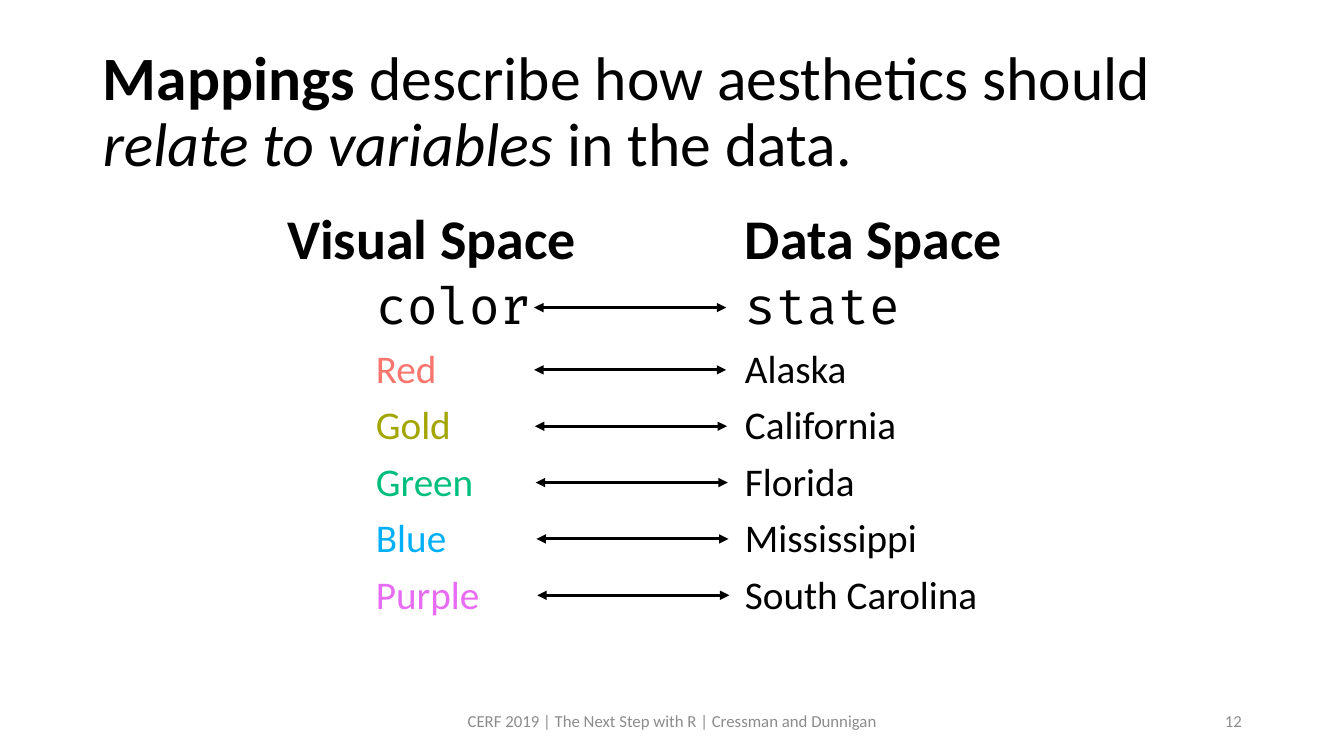
from dataclasses import dataclass

from lxml.etree import SubElement
from pptx import Presentation
from pptx.dml.color import RGBColor as Rgb
from pptx.enum.shapes import MSO_CONNECTOR as Link
from pptx.enum.text import MSO_ANCHOR as Anchor, MSO_AUTO_SIZE as Fit, PP_ALIGN as Align
from pptx.oxml.ns import qn
from pptx.util import Cm, Pt

BLACK = "000000"
GREY = "8C8C8C"
SANS = "Calibri"
MONO = "Fira Code"


@dataclass
class Box:
    left: float
    top: float
    width: float
    height: float


@dataclass
class Line:
    text: str
    size: int
    font: str = SANS
    hue: str = BLACK
    bold: bool = False
    align: Align = Align.LEFT


@dataclass
class Pair:
    name: str
    hue: str
    state: str


PAIRS = [
    Pair("Red", "F8766D", "Alaska"),
    Pair("Gold", "A3A500", "California"),
    Pair("Green", "00BF7D", "Florida"),
    Pair("Blue", "00B0F6", "Mississippi"),
    Pair("Purple", "E76BF3", "South Carolina"),
]


def paint(code: str) -> Rgb:
    return Rgb.from_string(code)


def place(shape, box: Box, anchor: Anchor) -> None:
    shape.left, shape.top = Cm(box.left), Cm(box.top)
    shape.width, shape.height = Cm(box.width), Cm(box.height)
    frame = shape.text_frame
    frame.word_wrap = True
    frame.auto_size = Fit.NONE
    frame.vertical_anchor = anchor


def style(para, line: Line) -> None:
    para.alignment = line.align
    font = para.font
    font.name, font.size, font.bold = line.font, Pt(line.size), line.bold
    font.color.rgb = paint(line.hue)


def fill_list(shape, lines: list[Line]) -> None:
    frame = shape.text_frame
    frame.text = "\n".join(line.text for line in lines)
    for para, line in zip(frame.paragraphs, lines):
        style(para, line)
        para.line_spacing = 0.9
        para.space_before = Pt(10)
        props = para._p.get_or_add_pPr()
        props.set("marL", "0")
        props.set("indent", "0")
        # The bullet mark must come before the default run format
        mark = SubElement(props, qn("a:buNone"))
        props.find(qn("a:defRPr")).addprevious(mark)


def add_note(slide, box: Box, line: Line) -> None:
    note = slide.shapes.add_textbox(0, 0, 0, 0)
    place(note, box, Anchor.MIDDLE)
    para = note.text_frame.paragraphs[0]
    para.text = line.text
    style(para, line)


def add_arrow(slide, left: float, top: float, width: float) -> None:
    arrow = slide.shapes.add_connector(
        Link.STRAIGHT, Cm(left), Cm(top), Cm(left + width), Cm(top))
    arrow.line.color.rgb = paint(BLACK)
    arrow.line.width = Pt(2.25)
    props = arrow._element.spPr
    for end in ("a:headEnd", "a:tailEnd"):
        SubElement(props.find(qn("a:ln")), qn(end), type="triangle")
    SubElement(props, qn("a:effectLst"))


def main() -> None:
    deck = Presentation()
    deck.slide_width, deck.slide_height = Cm(33.87), Cm(19.05)
    slide = deck.slides.add_slide(deck.slide_layouts.get_by_name("Comparison"))
    holders = slide.placeholders

    # Title
    title = slide.shapes.title
    place(title, Box(2.34, 1.02, 29.21, 3.68), Anchor.MIDDLE)
    para = title.text_frame.paragraphs[0]
    style(para, Line("", 44))
    para.line_spacing = 0.9
    for text, bold, slant in [
        ("Mappings", True, False),
        (" describe how aesthetics should ", False, False),
        ("relate to variables ", False, True),
        ("in the data.", False, False),
    ]:
        run = para.add_run()
        run.text = text
        run.font.bold, run.font.italic = bold, slant

    # Column heads
    place(holders[1], Box(3.71, 4.67, 14.33, 2.29), Anchor.BOTTOM)
    fill_list(holders[1], [Line("Visual Space", 40, bold=True, align=Align.CENTER)])
    place(holders[3], Box(18.52, 4.67, 14.4, 2.29), Anchor.BOTTOM)
    fill_list(holders[3], [Line("Data Space", 40, bold=True)])

    # Column lists
    place(holders[2], Box(9.22, 6.96, 8.79, 10.24), Anchor.TOP)
    fill_list(holders[2], [Line("color", 36, MONO)]
              + [Line(pair.name, 28, hue=pair.hue) for pair in PAIRS])
    place(holders[4], Box(18.52, 6.96, 14.4, 10.24), Anchor.TOP)
    fill_list(holders[4], [Line("state", 36, MONO)]
              + [Line(pair.state, 28) for pair in PAIRS])

    # Arrows: one for the head row, then one for each pair
    add_arrow(slide, 13.46, 7.75, 4.84)
    for row in range(len(PAIRS)):
        add_arrow(slide, 13.46 + 0.02 * row, 9.32 + 1.42 * row, 4.84)

    # Footer and page number
    add_note(slide, Box(11.23, 17.65, 11.43, 1.02),
             Line("CERF 2019 | The Next Step with R | Cressman and Dunnigan",
                  12, hue=GREY, align=Align.CENTER))
    add_note(slide, Box(23.93, 17.65, 7.62, 1.02),
             Line("12", 12, hue=GREY, align=Align.RIGHT))

    deck.save("out.pptx")


if __name__ == "__main__":
    main()
